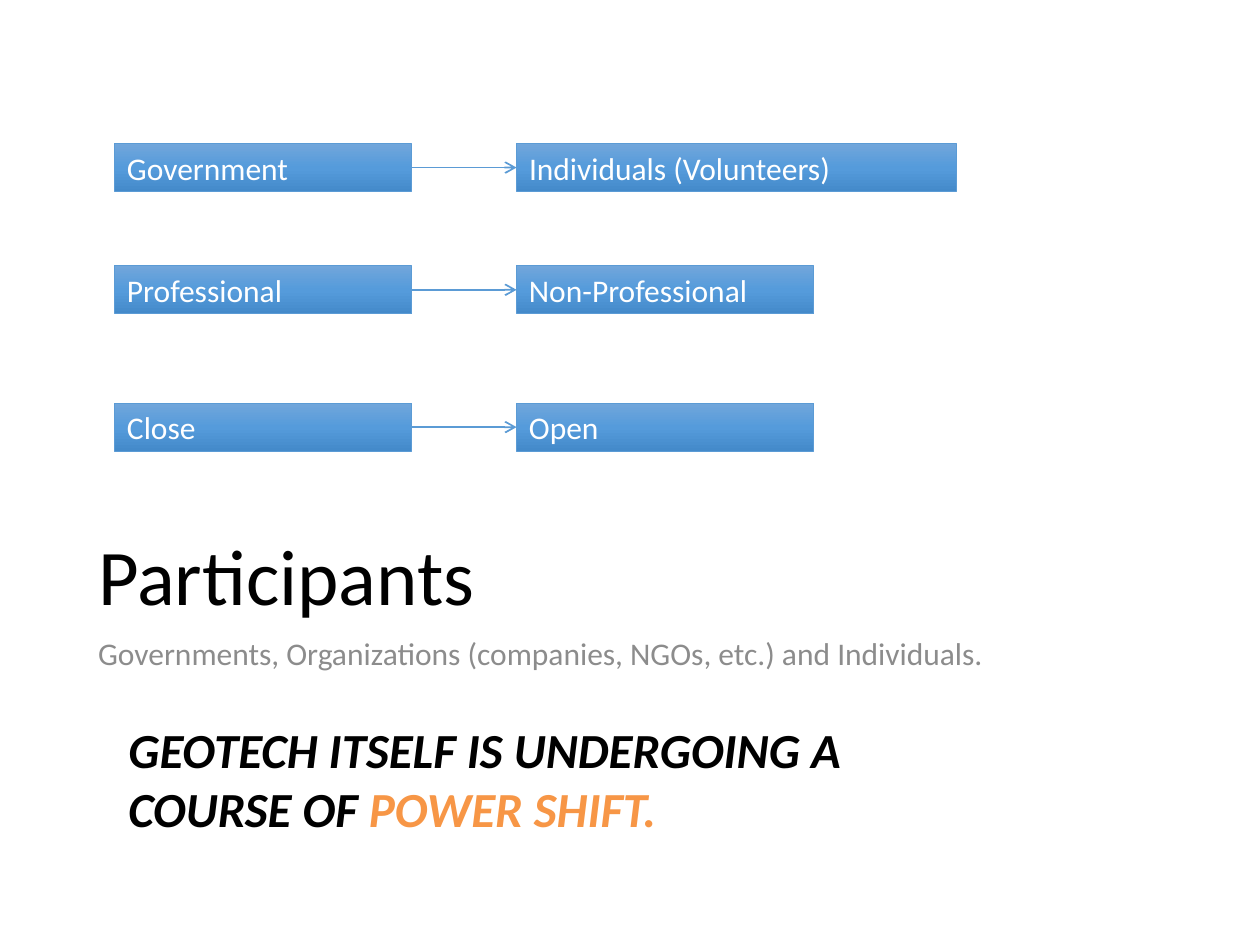
from copy import deepcopy
from dataclasses import dataclass

from lxml.etree import SubElement
from pptx import Presentation
from pptx.dml.color import RGBColor as RGB
from pptx.enum.shapes import MSO_CONNECTOR as CONNECTOR, MSO_SHAPE as SHAPE
from pptx.enum.text import MSO_ANCHOR as ANCHOR, MSO_AUTO_SIZE as AUTO_SIZE, PP_ALIGN as ALIGN
from pptx.oxml.ns import qn
from pptx.slide import Slide
from pptx.util import Inches, Pt

COLORS = {
    "black": "000000", "white": "FFFFFF", "gray": "8C8C8C", "orange": "F79646",
    "blue": "5B9BD5", "light": "71A6DB", "middle": "559BDB", "dark": "448ACA",
}


def color(name):
    return RGB.from_string(COLORS[name])


@dataclass
class SlideBuilder:
    slide: Slide
    font: str = "Calibri"
    box_height: float = 0.38

    def add_runs(self, frame, runs, size, anchor=ANCHOR.TOP, spacing=1.0, emphasis=False):
        frame.word_wrap = True
        frame.auto_size = AUTO_SIZE.NONE
        frame.vertical_anchor = anchor
        para = frame.paragraphs[0]
        para.alignment = ALIGN.LEFT
        para.line_spacing = spacing
        for text, tint in runs:
            span = para.add_run()
            span.text = text
            span.font.name = self.font
            span.font.size = Pt(size)
            span.font.bold = span.font.italic = emphasis
            span.font.color.rgb = color(tint)

    def title(self, text, left, top, width, height):
        title = self.slide.shapes.title
        title.left, title.top = Inches(left), Inches(top)
        title.width, title.height = Inches(width), Inches(height)
        self.add_runs(title.text_frame, [(text, "black")], 45, ANCHOR.BOTTOM, 0.9)

    def text(self, runs, left, top, width, height, size, **style):
        box = self.slide.shapes.add_textbox(
            Inches(left), Inches(top), Inches(width), Inches(height))
        self.add_runs(box.text_frame, runs, size, **style)

    def box(self, text, left, top, width):
        box = self.slide.shapes.add_shape(
            SHAPE.RECTANGLE, Inches(left), Inches(top), Inches(width), Inches(self.box_height))
        box.shadow.inherit = False
        box.fill.gradient()
        box.fill.gradient_angle = 270
        stop_list = box._element.spPr.find(qn("a:gradFill")).find(qn("a:gsLst"))
        stop_list.insert(1, deepcopy(stop_list[0]))
        for stop, tint, position in zip(
                box.fill.gradient_stops, ("light", "middle", "dark"), (0, 0.5, 1)):
            stop.color.rgb = color(tint)
            stop.position = position
        box.line.color.rgb = color("blue")
        box.line.width = Pt(0.5)
        self.add_runs(box.text_frame, [(text, "white")], 18, ANCHOR.MIDDLE)

    def arrow(self, start, end, y):
        arrow = self.slide.shapes.add_connector(
            CONNECTOR.STRAIGHT, Inches(start), Inches(y), Inches(end), Inches(y))
        arrow.line.color.rgb = color("blue")
        arrow.line.width = Pt(1)
        properties = arrow._element.spPr
        SubElement(properties.find(qn("a:ln")), qn("a:tailEnd"), type="arrow")
        SubElement(properties, qn("a:effectLst"))


def main():
    deck = Presentation()
    deck.slide_width, deck.slide_height = Inches(10), Inches(7.5)
    page = SlideBuilder(deck.slides.add_slide(deck.slide_layouts[5]))

    page.title("Participants", 0.68, 1.87, 8.62, 3.12)
    page.text([("Governments, Organizations (companies, NGOs, etc.) and Individuals.", "gray")],
              0.68, 5.02, 8.62, 1.64, 18, spacing=0.9)

    from_left, to_left, box_width = 0.91, 4.1, 2.36
    shifts = [
        ("Government", "Individuals (Volunteers)", 1.14, 3.49),
        ("Professional", "Non-Professional", 2.11, box_width),
        ("Close", "Open", 3.2, box_width),
    ]
    for before, after, top, after_width in shifts:
        page.box(before, from_left, top, box_width)
        page.box(after, to_left, top, after_width)
        page.arrow(from_left + box_width, to_left, top + page.box_height / 2)

    page.text([("GEOTECH ITSELF IS UNDERGOING A COURSE OF ", "black"), ("POWER SHIFT.", "orange")],
              0.92, 5.66, 7.12, 0.62, 28, emphasis=True)

    deck.save("out.pptx")


if __name__ == "__main__":
    main()
